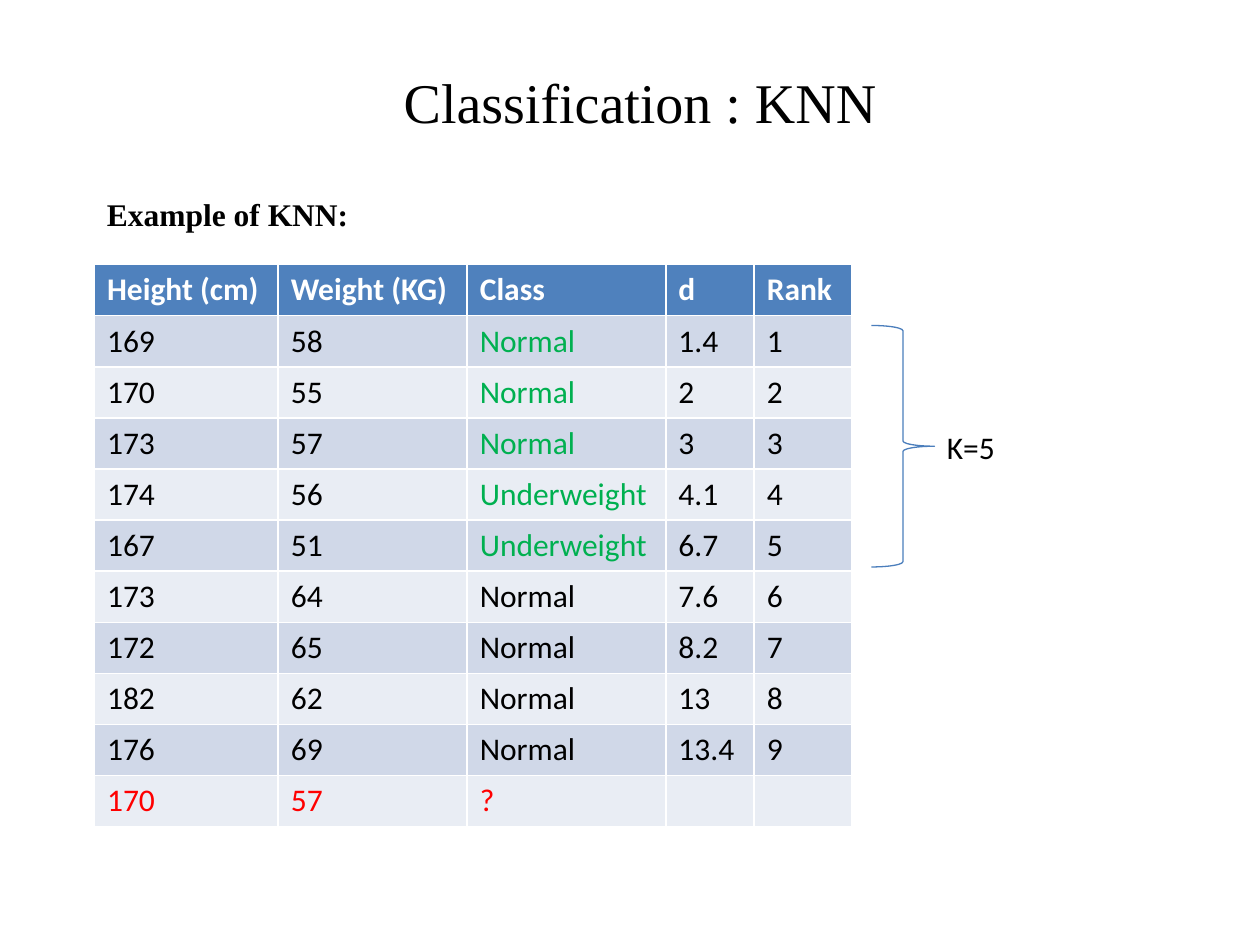
"""Build a slide with a worked example of KNN classification."""
from pptx import Presentation
from pptx.dml.color import RGBColor
from pptx.enum.shapes import MSO_SHAPE
from pptx.enum.text import MSO_ANCHOR, PP_ALIGN
from pptx.util import Pt

BLACK = RGBColor(0x00, 0x00, 0x00)
WHITE = RGBColor(0xFF, 0xFF, 0xFF)
GREEN = RGBColor(0x00, 0xB0, 0x50)
RED = RGBColor(0xFF, 0x00, 0x00)
HEADER_BLUE = RGBColor(0x4F, 0x81, 0xBD)
BAND_DARK = RGBColor(0xD0, 0xD8, 0xE8)
BAND_LIGHT = RGBColor(0xE9, 0xED, 0xF4)
BRACE_BLUE = RGBColor(0x4B, 0x7E, 0xBC)

NEIGHBOURS = 5
COLUMN_WIDTHS = [105, 108, 113.5, 50.5, 56]
ROW_HEIGHT = 29.2
ROWS = [
    ("Height (cm)", "Weight (KG)", "Class", "d", "Rank"),
    ("169", "58", "Normal", "1.4", "1"),
    ("170", "55", "Normal", "2", "2"),
    ("173", "57", "Normal", "3", "3"),
    ("174", "56", "Underweight", "4.1", "4"),
    ("167", "51", "Underweight", "6.7", "5"),
    ("173", "64", "Normal", "7.6", "6"),
    ("172", "65", "Normal", "8.2", "7"),
    ("182", "62", "Normal", "13", "8"),
    ("176", "69", "Normal", "13.4", "9"),
    ("170", "57", "?", "", ""),
]


def write(frame, text, size=18, font="Calibri", color=BLACK, bold=False,
          align=PP_ALIGN.LEFT, before=0):
    paragraph = frame.paragraphs[0]
    paragraph.text = text
    paragraph.alignment = align
    paragraph.space_before = Pt(before)
    paragraph.font.size = Pt(size)
    paragraph.font.name = font
    paragraph.font.bold = bold
    paragraph.font.color.rgb = color


presentation = Presentation()
presentation.slide_width, presentation.slide_height = Pt(720), Pt(540)
slide = presentation.slides.add_slide(presentation.slide_layouts[5])

title = slide.shapes.title
title.left, title.top, title.width, title.height = Pt(126), Pt(30), Pt(480), Pt(55.5)
title.text_frame.vertical_anchor = MSO_ANCHOR.MIDDLE
write(title.text_frame, "Classification : KNN", size=32,
      font="Times New Roman", align=PP_ALIGN.CENTER)

subtitle = slide.shapes.add_textbox(Pt(54), Pt(108), Pt(588), Pt(342))
subtitle.text_frame.word_wrap = True
write(subtitle.text_frame, "Example of KNN:", font="Times New Roman",
      bold=True, align=PP_ALIGN.JUSTIFY, before=3.6)

table = slide.shapes.add_table(
    len(ROWS), len(COLUMN_WIDTHS), Pt(54), Pt(151.2),
    Pt(sum(COLUMN_WIDTHS)), Pt(ROW_HEIGHT * len(ROWS))).table
for column, width in zip(table.columns, COLUMN_WIDTHS):
    column.width = Pt(width)

for row_index, values in enumerate(ROWS):
    table.rows[row_index].height = Pt(ROW_HEIGHT)
    is_header = row_index == 0
    is_query = row_index == len(ROWS) - 1
    is_neighbour = 1 <= row_index <= NEIGHBOURS
    band = BAND_DARK if row_index % 2 else BAND_LIGHT
    for column_index, value in enumerate(values):
        color = WHITE if is_header else RED if is_query else BLACK
        if is_neighbour and column_index == 2:
            color = GREEN
        cell = table.cell(row_index, column_index)
        cell.fill.solid()
        cell.fill.fore_color.rgb = HEADER_BLUE if is_header else band
        write(cell.text_frame, value, color=color, bold=is_header)

brace = slide.shapes.add_shape(
    MSO_SHAPE.RIGHT_BRACE, Pt(498), Pt(186), Pt(36), Pt(138))
brace.shadow.inherit = False
brace.fill.background()
brace.line.color.rgb = BRACE_BLUE
brace.line.width = Pt(0.75)

label = slide.shapes.add_textbox(Pt(534), Pt(241.2), Pt(66), Pt(29))
label.text_frame.word_wrap = True
write(label.text_frame, f"K={NEIGHBOURS}")

presentation.save("out.pptx")
